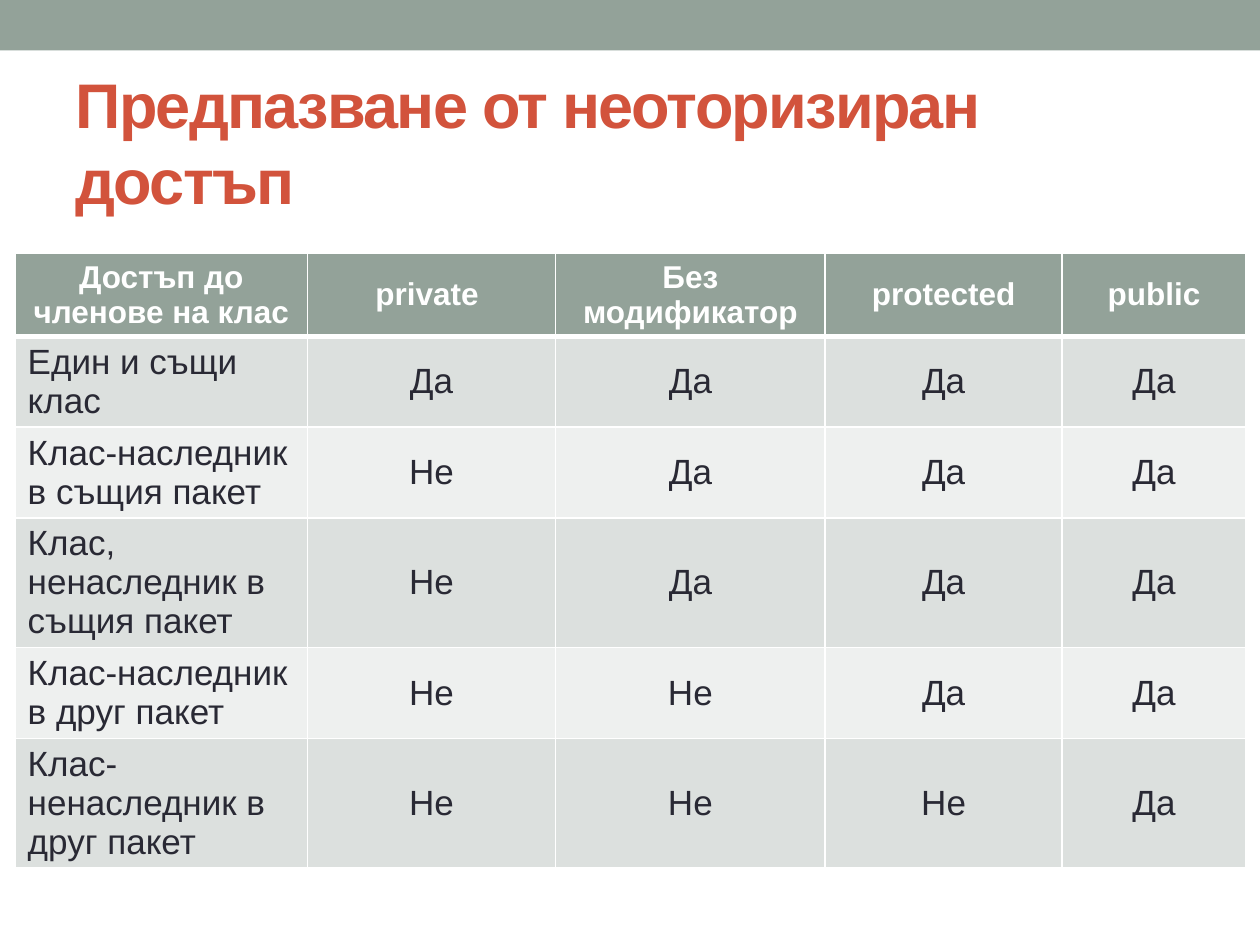
from lxml import etree
from pptx import Presentation
from pptx.dml.color import RGBColor
from pptx.enum.shapes import MSO_SHAPE
from pptx.enum.text import MSO_ANCHOR, MSO_AUTO_SIZE, PP_ALIGN
from pptx.oxml.ns import qn
from pptx.util import Inches, Pt

RECT = MSO_SHAPE.RECTANGLE
TOP, MIDDLE = MSO_ANCHOR.TOP, MSO_ANCHOR.MIDDLE
LEFT, CENTER = PP_ALIGN.LEFT, PP_ALIGN.CENTER
SAGE, WHITE, INK, RUST = "93A299", "FFFFFF", "292934", "D2533C"
BANDS = ["EEF0EF", "DCE0DE"]


def paint(fill, color):
    fill.solid()
    fill.fore_color.rgb = RGBColor.from_string(color)


def add_run(p, text, size, color, bold):
    r = p.add_run()
    r.text = text
    r.font.name = "Arial"
    r.font.size = Pt(size)
    r.font.bold = bold
    paint(r.font.fill, color)
    return r


prs = Presentation()
prs.slide_width, prs.slide_height = Inches(10), Inches(7.5)
W = prs.slide_width
s = prs.slides.add_slide(prs.slide_layouts[5])
paint(s.background.fill, WHITE)

bar = s.shapes.add_shape(RECT, 0, 0, W, Inches(0.4))
bar.shadow.inherit = False
paint(bar.fill, SAGE)
bar.line.fill.background()

title = s.shapes.title
title.left, title.top = int(W * 0.05), Inches(0.58)
title.width, title.height = int(W * 0.9), Inches(1.08)
tf = title.text_frame
tf.word_wrap = True
tf.auto_size = MSO_AUTO_SIZE.NONE
tf.vertical_anchor = MIDDLE
p = tf.paragraphs[0]
p.alignment = LEFT
r = add_run(p, "Предпазване от неоторизиран достъп", 36, RUST, True)
r.font._element.set("spc", "-100")

rows = [
    ["Достъп до членове на клас", "private ", "Без модификатор", "protected", "public"],
    ["Един и същи клас", "Да", "Да", "Да", "Да"],
    ["Клас-наследник в същия пакет", "Не", "Да", "Да", "Да"],
    ["Клас, ненаследник в същия пакет", "Не", "Да", "Да", "Да"],
    ["Клас-наследник в друг пакет", "Не", "Не", "Да", "Да"],
    ["Клас-ненаследник в друг пакет", "Не", "Не", "Не", "Да"],
]
widths = [2.32, 1.97, 2.14, 1.88, 1.46]
row_height = Inches(0.41)
table = s.shapes.add_table(len(rows), len(widths), Inches(0.12), Inches(2.01),
                           Inches(sum(widths)), row_height * len(rows)).table
for column, width in zip(table.columns, widths):
    column.width = Inches(width)

for i, row in enumerate(rows):
    table.rows[i].height = row_height
    header = i == 0
    for j, text in enumerate(row):
        cell = table.cell(i, j)
        label = j == 0 and not header
        cell.vertical_anchor = TOP if label else MIDDLE
        p = cell.text_frame.paragraphs[0]
        p.alignment = LEFT if label else CENTER
        add_run(p, text, 18 if header else 20, WHITE if header else INK, header)
        tcPr = cell._tc.get_or_add_tcPr()
        borders = {"L": 1, "R": 1, "T": 3 if i == 1 else 1, "B": 3 if header else 1}
        for side, weight in borders.items():
            ln = etree.SubElement(tcPr, qn("a:ln" + side), w=str(Pt(weight)))
            solid = etree.SubElement(ln, qn("a:solidFill"))
            etree.SubElement(solid, qn("a:srgbClr"), val=WHITE)
        paint(cell.fill, SAGE if header else BANDS[i % 2])

prs.save("out.pptx")
